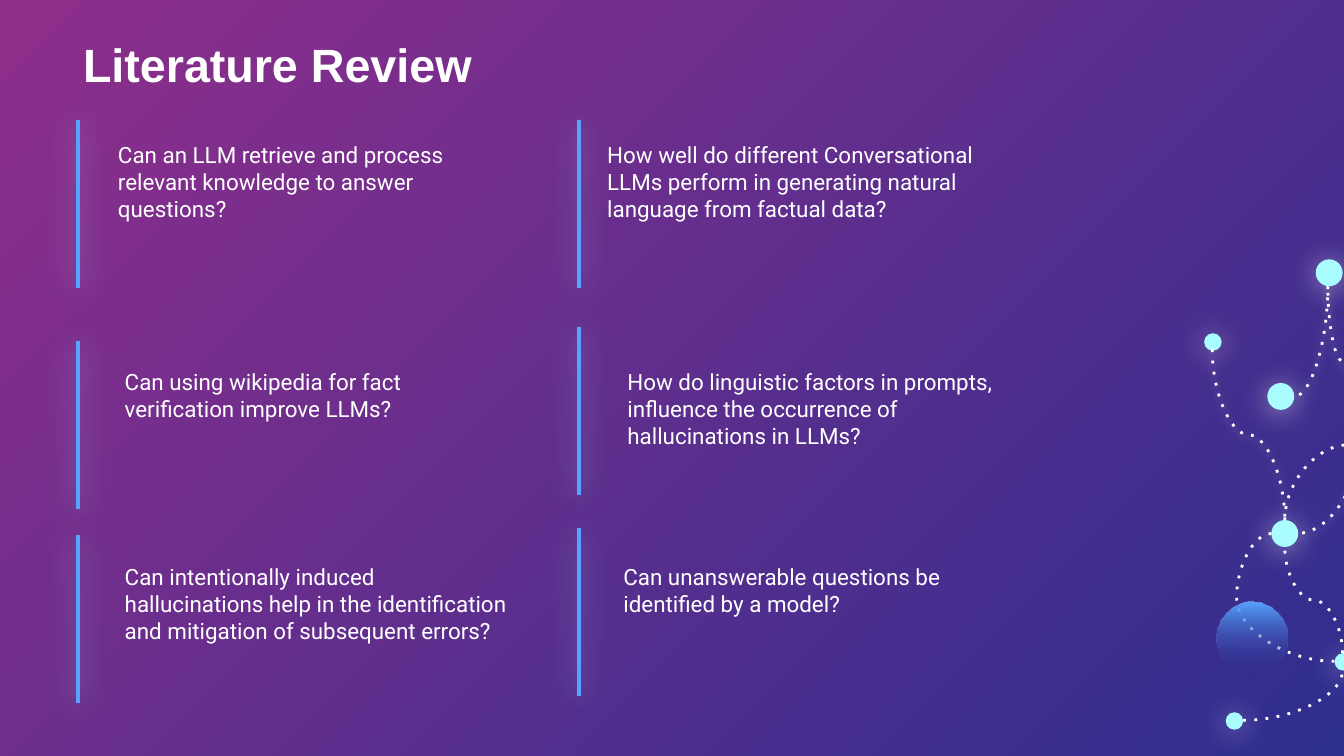
"""Build the Literature Review slide with six research questions."""
from pptx import Presentation
from pptx.dml.color import RGBColor
from pptx.enum import dml, shapes, text
from pptx.oxml import parse_xml
from pptx.oxml.ns import nsdecls
from pptx.util import Emu, Inches, Pt

WHITE = RGBColor(0xFF, 0xFF, 0xFF)
CYAN = RGBColor(0xAA, 0xFD, 0xFF)
BLUE = RGBColor(0x55, 0xA4, 0xFF)
PURPLE = RGBColor(0x8F, 0x2E, 0x8B)
INDIGO = RGBColor(0x2E, 0x2E, 0x8F)

SLIDE_WIDTH = 10
SLIDE_HEIGHT = SLIDE_WIDTH * 9 / 16
BAR_HEIGHT = 1.25
BAR_LEFTS = (0.58, 4.31)
QUESTIONS = (
    (0, 0.89, 0.78, 0.95, "Can an LLM retrieve and process relevant knowledge to answer questions?"),
    (1, 0.89, 4.42, 0.95, "How well do different Conversational LLMs perform in generating "
                          "natural language from factual data?"),
    (0, 2.54, 0.83, 2.64, "Can using wikipedia for fact verification improve LLMs?"),
    (1, 2.43, 4.57, 2.64, "How do linguistic factors in prompts, influence the occurrence of "
                          "hallucinations in LLMs?"),
    (0, 3.98, 0.83, 4.09, "Can intentionally induced hallucinations help in the identification "
                          "and mitigation of subsequent errors?"),
    (1, 3.93, 4.54, 4.09, "Can unanswerable questions be identified by a model?"),
)
NODES = (
    (9.43, 2.85, 0.2), (9.46, 3.87, 0.2), (8.96, 2.48, 0.13),
    (9.79, 1.93, 0.2), (9.93, 4.86, 0.13), (9.12, 5.3, 0.13),
)
VERTICAL_CURVES = (
    ((9.56, 3.87), (10.03, 3.31), 2, False),
    ((9.02, 2.6), (9.56, 3.87), 3, True),
    ((10.09, 3.24), (9.88, 2.13), 3, True),
    ((10.09, 3.37), (9.65, 3.97), 2, True),
    ((9.88, 2.13), (9.63, 2.95), 2, True),
    ((9.99, 4.86), (9.56, 4.07), 3, False),
)


def set_effects(shape, color=None, blur=15.8):
    """Give a shape a soft glow-like shadow, or no effect at all."""
    shadow = "" if color is None else (
        f'<a:outerShdw blurRad="{Pt(blur)}" dist="{Pt(1.5)}" dir="5400000" algn="bl" '
        f'rotWithShape="0"><a:srgbClr val="{color}"><a:alpha val="50000"/></a:srgbClr>'
        '</a:outerShdw>')
    shape._element.spPr.append(
        parse_xml(f'<a:effectLst {nsdecls("a")}>{shadow}</a:effectLst>'))


def set_gradient(fill, first, last, angle):
    """Fill with a two-colour linear gradient."""
    fill.gradient()
    fill.gradient_angle = angle
    for stop, color, position in zip(fill.gradient_stops, (first, last), (0, 1)):
        stop.color.rgb = color
        stop.position = position


def add_text(page, left, top, width, height, words, size, font, bold=False):
    """Add a wrapped white text box."""
    box = page.shapes.add_textbox(Inches(left), Inches(top), Inches(width), Inches(height))
    frame = box.text_frame
    frame.word_wrap = True
    frame.vertical_anchor = text.MSO_ANCHOR.TOP
    frame.margin_left = frame.margin_right = Inches(0.1)
    frame.margin_top = frame.margin_bottom = Inches(0.1)
    frame.text = words
    style = frame.paragraphs[0].runs[0].font
    style.size, style.name, style.bold = Pt(size), font, bold
    style.color.rgb = WHITE


def add_bar(page, left, top):
    """Add a glowing vertical rule beside a question."""
    bar = page.shapes.add_connector(
        shapes.MSO_CONNECTOR.STRAIGHT, Inches(left), Inches(top),
        Inches(left), Inches(top + BAR_HEIGHT))
    bar.line.color.rgb = BLUE
    bar.line.width = Pt(2.25)
    set_effects(bar, CYAN)


def add_circle(page, left, top, size):
    """Add a circle without an outline."""
    circle = page.shapes.add_shape(
        shapes.MSO_SHAPE.OVAL, Inches(left), Inches(top), Inches(size), Inches(size))
    circle.line.fill.background()
    return circle


def add_node(page, left, top, size):
    """Add a glowing network node."""
    node = add_circle(page, left, top, size)
    node.fill.solid()
    node.fill.fore_color.rgb = CYAN
    set_effects(node, WHITE)


def add_orb(page):
    """Add the large circle that fades out downwards."""
    orb = add_circle(page, 9.05, 4.48, 0.53)
    set_gradient(orb.fill, BLUE, INDIGO, 270)
    last_color = orb._element.spPr.xpath(".//a:gs/a:srgbClr")[-1]
    last_color.append(parse_xml(f'<a:alpha {nsdecls("a")} val="0"/>'))
    set_effects(orb)


def add_curve(page, start, end, kind, glow=False, adjust=None):
    """Add a dotted curve that leaves its start horizontally."""
    curve = page.shapes.add_connector(
        shapes.MSO_CONNECTOR.CURVE, *(Inches(value) for value in start + end))
    curve.line.color.rgb = WHITE
    curve.line.width = Pt(1.5)
    curve.line.dash_style = dml.MSO_LINE.ROUND_DOT
    properties = curve._element.spPr
    properties.xpath(".//a:prstDash")[0].set("val", "dot")
    geometry = properties.xpath("./a:prstGeom")[0]
    geometry.set("prst", f"curvedConnector{kind}")
    if adjust is not None:
        guides = geometry.get_or_add_avLst()
        guides.append(parse_xml(
            f'<a:gd {nsdecls("a")} name="adj1" fmla="val {round(adjust * 100000)}"/>'))
    set_effects(curve, WHITE if glow else None, 4.5)
    return curve


def add_vertical_curve(page, start, end, kind, glow):
    """Add a dotted curve that leaves its start vertically, by a quarter turn."""
    curve = add_curve(page, start, end, kind, glow)
    rightward, downward = end[0] > start[0], end[1] > start[1]
    center_x = curve.left + curve.width // 2
    center_y = curve.top + curve.height // 2
    width, height = curve.height, curve.width
    curve.left, curve.top = Emu(center_x - width // 2), Emu(center_y - height // 2)
    curve.width, curve.height = width, height
    frame = curve._element.spPr.xfrm
    for name in ("flipH", "flipV"):
        frame.attrib.pop(name, None)
    frame.set("rot", str((270 if rightward else 90) * 60000))
    if rightward == downward:
        frame.set("flipH", "1")


def add_network(page):
    """Draw the decorative network at the right edge."""
    for node in NODES:
        add_node(page, *node)
    for curve in VERTICAL_CURVES:
        add_vertical_curve(page, *curve)
    add_curve(page, (9.46, 3.97), (9.93, 4.92), 3, adjust=-0.55)
    add_curve(page, (9.25, 5.36), (9.99, 4.99), 2)
    add_orb(page)


def main():
    """Build and save the deck."""
    deck = Presentation()
    deck.slide_width, deck.slide_height = Inches(SLIDE_WIDTH), Inches(SLIDE_HEIGHT)
    page = deck.slides.add_slide(deck.slide_layouts[6])
    set_gradient(page.background.fill, PURPLE, INDIGO, 315)
    add_network(page)
    add_text(page, 0.52, 0.17, 8.43, 0.63, "Literature Review", 25, "Arial", bold=True)
    for column, bar_top, left, top, question in QUESTIONS:
        add_bar(page, BAR_LEFTS[column], bar_top)
        add_text(page, left, top, 3.07, 1.04, question, 12, "Roboto")
    deck.save("out.pptx")


if __name__ == "__main__":
    main()
